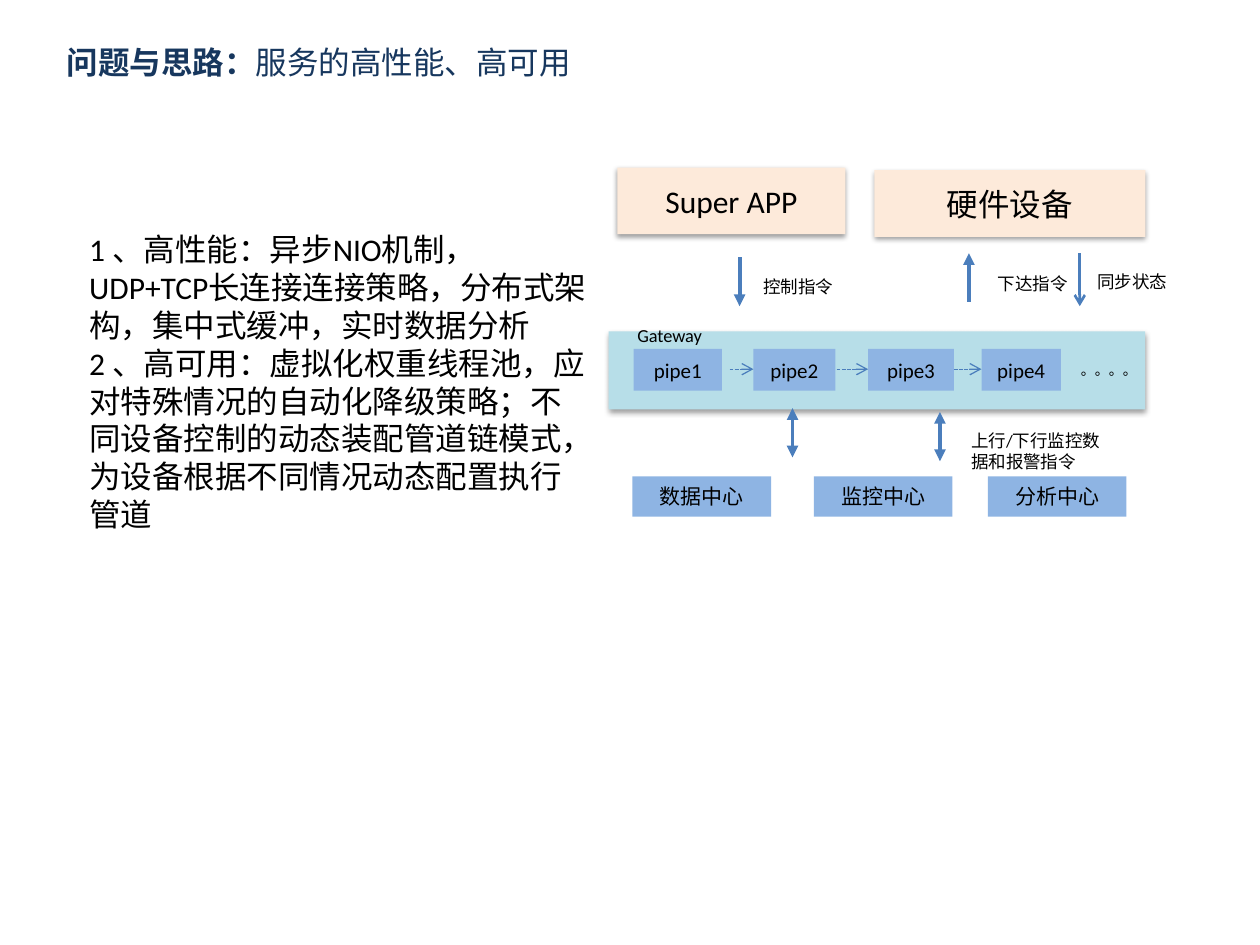
import pptx
import pptx.util
import pptx.dml.color
import pptx.enum.shapes
import pptx.enum.text
import pptx.enum.dml
import pptx.oxml
from pptx.util import Inches, Pt
from lxml import etree

RGBColor = pptx.dml.color.RGBColor
NAVY = RGBColor(0x17, 0x37, 0x5E)
BLACK = RGBColor(0, 0, 0)
PEACH = RGBColor(0xFD, 0xEA, 0xDA)
TEAL = RGBColor(0xB7, 0xDE, 0xE8)
BLUE = RGBColor(0x8E, 0xB4, 0xE3)
ARROW_BLUE = RGBColor(0x4B, 0x7E, 0xBC)
FONT = "Calibri"
ALIGN = pptx.enum.text.PP_ALIGN
ANCHOR = pptx.enum.text.MSO_ANCHOR
DRAWING = "http://schemas.openxmlformats.org/drawingml/2006/main"

SHADOW = (
    f'<a:effectLst xmlns:a="{DRAWING}">'
    '<a:outerShdw blurRad="39370" dist="20320" dir="5400000" rotWithShape="0">'
    '<a:srgbClr val="000000"><a:alpha val="38000"/></a:srgbClr>'
    '</a:outerShdw></a:effectLst>'
)


def format_span(span, size, color=BLACK, bold=False):
    span.font.name = FONT
    span.font.size = Pt(size)
    span.font.color.rgb = color
    span.font.bold = bold


def write(frame, text, size, align=ALIGN.LEFT, anchor=ANCHOR.TOP):
    frame.word_wrap = True
    frame.vertical_anchor = anchor
    frame.text = text
    for para in frame.paragraphs:
        para.alignment = align
        for span in para.runs:
            format_span(span, size)


def add_title(page, heading, topic):
    title = page.shapes.title
    title.left, title.top = Inches(0.43), Inches(0.29)
    title.width, title.height = Inches(6.93), Inches(0.51)
    frame = title.text_frame
    frame.auto_size = pptx.enum.text.MSO_AUTO_SIZE.NONE
    frame.vertical_anchor = ANCHOR.TOP
    para = frame.paragraphs[0]
    para.alignment = ALIGN.LEFT
    for text, bold in ((heading, True), (topic, False)):
        span = para.add_run()
        span.text = text
        format_span(span, 18, NAVY, bold)


def add_label(page, text, left, top, width, height, size=10, **layout):
    label = page.shapes.add_textbox(
        Inches(left), Inches(top), Inches(width), Inches(height))
    write(label.text_frame, text, size, **layout)


def add_box(page, text, left, top, width, height, fill, size=12, shadow=False):
    box = page.shapes.add_shape(
        pptx.enum.shapes.MSO_SHAPE.RECTANGLE,
        Inches(left), Inches(top), Inches(width), Inches(height))
    box.fill.solid()
    box.fill.fore_color.rgb = fill
    box.line.fill.background()
    box.shadow.inherit = False
    if shadow:
        properties = box.fill._xPr
        properties.replace(properties.find(f"{{{DRAWING}}}effectLst"),
                           pptx.oxml.parse_xml(SHADOW))
    if text:
        write(box.text_frame, text, size, ALIGN.CENTER, ANCHOR.MIDDLE)


def add_arrow(page, start, end, width=2.25, head=None, tail=None, dashed=False):
    arrow = page.shapes.add_connector(
        pptx.enum.shapes.MSO_CONNECTOR.STRAIGHT,
        *(Inches(value) for value in start + end))
    arrow.line.color.rgb = ARROW_BLUE
    arrow.line.width = Pt(width)
    if dashed:
        arrow.line.dash_style = pptx.enum.dml.MSO_LINE.SQUARE_DOT
    outline = arrow.line._get_or_add_ln()
    for tag, kind in (("headEnd", head), ("tailEnd", tail)):
        if kind:
            etree.SubElement(outline, f"{{{DRAWING}}}{tag}").set("type", kind)
    etree.SubElement(outline.getparent(), f"{{{DRAWING}}}effectLst")


def main():
    deck = pptx.Presentation()
    deck.slide_width, deck.slide_height = Inches(10), Inches(7.5)
    page = deck.slides.add_slide(deck.slide_layouts[5])

    # Title and explanation
    add_title(page, "问题与思路：", "服务的高性能、高可用")
    add_label(
        page,
        "1 、高性能：异步NIO机制，UDP+TCP长连接连接策略，分布式架构，"
        "集中式缓冲，实时数据分析\n"
        "2 、高可用：虚拟化权重线程池，应对特殊情况的自动化降级策略；"
        "不同设备控制的动态装配管道链模式，为设备根据不同情况动态配置执行管道",
        0.61, 1.78, 4.17, 2.83, size=18)

    # Clients
    add_box(page, "Super APP", 4.9, 1.33, 1.81, 0.53, PEACH, 18, shadow=True)
    add_box(page, "硬件设备", 6.94, 1.35, 2.15, 0.53, PEACH, 18, shadow=True)

    # Gateway with its chain of pipes
    add_box(page, "", 4.83, 2.63, 4.26, 0.62, TEAL, shadow=True)
    add_label(page, "Gateway", 4.73, 2.54, 1.17, 0.24, size=10.5,
              align=ALIGN.CENTER, anchor=ANCHOR.MIDDLE)
    pipes = ((5.03, 0.7), (5.98, 0.65), (6.89, 0.68), (7.79, 0.63))
    for number, (left, width) in enumerate(pipes, 1):
        add_box(page, f"pipe{number}", left, 2.77, width, 0.33, BLUE)
    for start, end in ((5.79, 5.98), (6.64, 6.89), (7.57, 7.79)):
        add_arrow(page, (start, 2.93), (end, 2.93), 0.75,
                  tail="arrow", dashed=True)
    add_label(page, "。。。。", 8.48, 2.82, 1.22, 0.24, size=8)

    # Back-end centres
    for text, left in (("数据中心", 5.02), ("监控中心", 6.46), ("分析中心", 7.84)):
        add_box(page, text, left, 3.78, 1.1, 0.32, BLUE)

    # Message flows between the layers
    add_arrow(page, (5.87, 2.04), (5.87, 2.43), tail="triangle")
    add_arrow(page, (7.69, 2.01), (7.69, 2.4), head="triangle")
    add_arrow(page, (8.57, 2.01), (8.57, 2.43), 1.5, tail="arrow")
    for x, top in ((6.29, 3.24), (7.46, 3.27)):
        add_arrow(page, (x, top), (x, top + 0.39),
                  head="triangle", tail="triangle")
    for text, left, top, height in (
            ("控制指令", 5.96, 2.14, 0.27),
            ("下达指令", 7.82, 2.12, 0.27),
            ("同步状态", 8.61, 2.1, 0.27),
            ("上行/下行监控数据和报警指令", 7.61, 3.36, 0.44)):
        add_label(page, text, left, top, 1.22, height)

    deck.save("out.pptx")


main()
